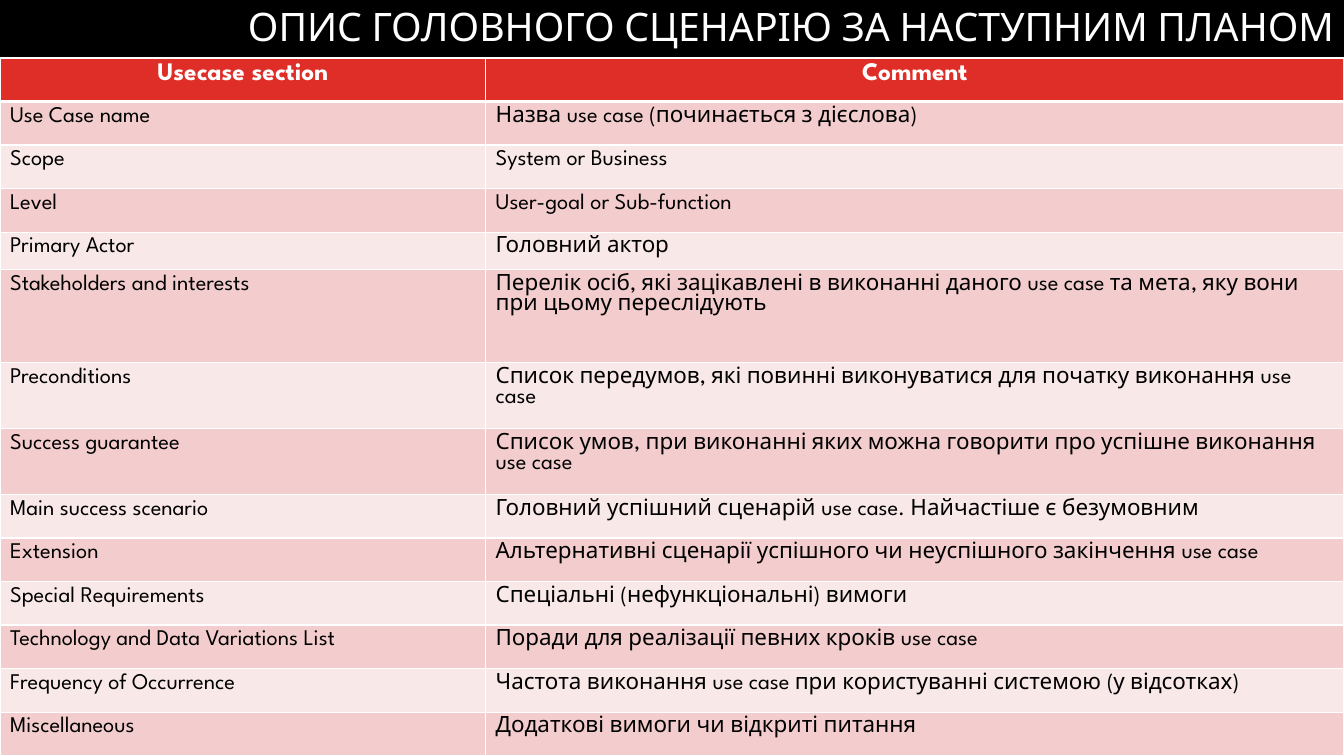
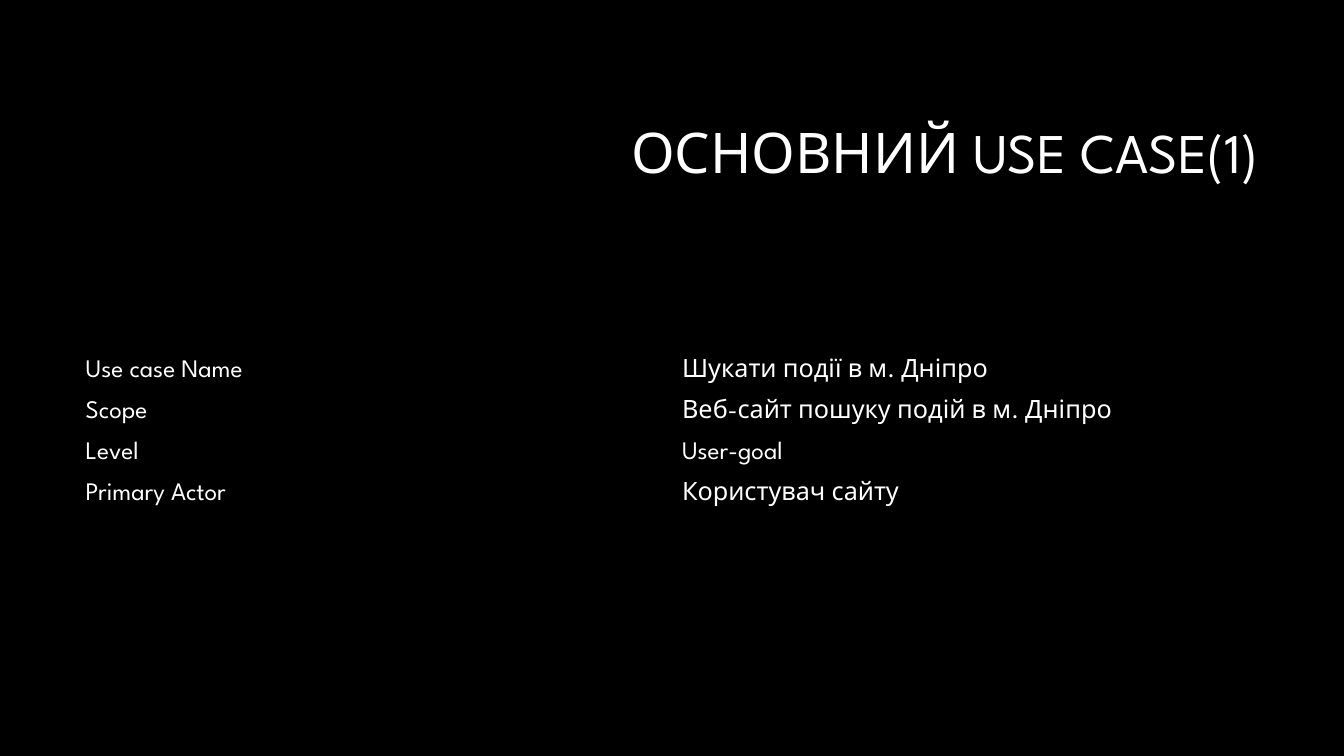
from dataclasses import dataclass

from lxml import etree
from pptx import Presentation
from pptx.dml.color import RGBColor
from pptx.enum.text import MSO_ANCHOR, PP_ALIGN
from pptx.oxml.ns import qn
from pptx.util import Inches, Pt

MIDDLE = MSO_ANCHOR.MIDDLE
CENTER, LEFT, RIGHT = PP_ALIGN.CENTER, PP_ALIGN.LEFT, PP_ALIGN.RIGHT
TITLE_ONLY = 5
PLAIN_TABLE = "{2D5ABB26-0587-4C30-8999-92F81FD0307C}"
GRID_COLS, GRID_ROWS = 160, 90


@dataclass(frozen=True)
class Theme:
    font: str = "League Spartan"
    background: str = "000000"
    light: str = "FFFFFF"
    dark: str = "000000"
    header: str = "DF2E28"
    bands: tuple = ("F3CDCD", "F9E8E8")
    title: int = 40
    band_title: int = 28
    body: int = 18
    small: int = 16
    rule: int = 1
    header_rule: int = 3


THEME = Theme()

TEMPLATE_ROWS = [
    ("Usecase section", "Comment"),
    ("Use Case name", "Назва use case (починається з дієслова)"),
    ("Scope", "System or Business"),
    ("Level", "User-goal or Sub-function"),
    ("Primary Actor", "Головний актор"),
    ("Stakeholders and interests",
     "Перелік осіб, які зацікавлені в виконанні даного use case та мета, "
     "яку вони при цьому переслідують"),
    ("Preconditions",
     "Список передумов, які повинні виконуватися для початку виконання use case"),
    ("Success guarantee",
     "Список умов, при виконанні яких можна говорити про успішне виконання use case"),
    ("Main success scenario",
     "Головний успішний сценарій use case. Найчастіше є безумовним"),
    ("Extension",
     "Альтернативні сценарії успішного чи неуспішного закінчення use case"),
    ("Special Requirements", "Спеціальні (нефункціональні) вимоги"),
    ("Technology and Data Variations List",
     "Поради для реалізації певних кроків use case"),
    ("Frequency of Occurrence",
     "Частота виконання use case при користуванні системою (у відсотках)"),
    ("Miscellaneous", "Додаткові вимоги чи відкриті питання"),
]
TEMPLATE_HEIGHTS = [0.43] * 4 + [0.37, 0.92] + [0.65] * 2 + [0.43] * 6

MAIN_CASE_ROWS = [
    ("Use case Name", "Шукати події в м. Дніпро"),
    ("Scope", "Веб-сайт пошуку подій в м. Дніпро"),
    ("Level", "User-goal"),
    ("Primary Actor", "Користувач сайту"),
]


def rgb(color):
    return RGBColor.from_string(color)


def place(prs, col, row, cols, rows):
    x, y = prs.slide_width / GRID_COLS, prs.slide_height / GRID_ROWS
    return [round(v) for v in (col * x, row * y, cols * x, rows * y)]


def write(tf, text, size, color, align=LEFT, bold=False):
    tf.text = text
    p = tf.paragraphs[0]
    p.alignment = align
    font = p.runs[0].font
    font.name, font.size, font.bold = THEME.font, Pt(size), bold
    font.color.rgb = rgb(color)
    return p


def add_titled_slide(prs, text, size, area):
    s = prs.slides.add_slide(prs.slide_layouts[TITLE_ONLY])
    sp = s.shapes.title
    sp.left, sp.top, sp.width, sp.height = place(prs, *area)
    tf = sp.text_frame
    tf.word_wrap = True
    tf.vertical_anchor = MIDDLE
    write(tf, text, size, THEME.light, RIGHT).line_spacing = 0.9
    return s


def share_out(items, attribute, weights, total):
    for item, weight in zip(items, weights):
        setattr(item, attribute, round(total * weight / sum(weights)))


def add_plain_table(prs, s, area, widths, heights):
    frame = place(prs, *area)
    table = s.shapes.add_table(len(heights), len(widths), *frame).table
    table._tbl.tblPr.find(qn("a:tableStyleId")).text = PLAIN_TABLE
    share_out(table.columns, "width", widths, frame[2])
    share_out(table.rows, "height", heights, frame[3])
    return table


def set_borders(cell, **points):
    tc_pr = cell._tc.get_or_add_tcPr()
    for side in "LRTB":
        line = etree.SubElement(tc_pr, qn(f"a:ln{side}"),
                                w=str(Pt(points.get(side, THEME.rule))))
        fill = etree.SubElement(line, qn("a:solidFill"))
        etree.SubElement(fill, qn("a:srgbClr"), val=THEME.light)


def fill_banded(table, rows):
    for i, texts in enumerate(rows):
        for cell, text in zip(table.rows[i].cells, texts):
            if i == 0:
                set_borders(cell, B=THEME.header_rule)
                write(cell.text_frame, text, THEME.body, THEME.light, CENTER, True)
                color = THEME.header
            else:
                set_borders(cell, T=THEME.header_rule if i == 1 else THEME.rule)
                write(cell.text_frame, text, THEME.small, THEME.dark)
                color = THEME.bands[(i - 1) % 2]
            cell.fill.solid()
            cell.fill.fore_color.rgb = rgb(color)


def fill_clear(table, rows):
    for row, texts in zip(table.rows, rows):
        for cell, text in zip(row.cells, texts):
            write(cell.text_frame, text, THEME.body, THEME.light)
            cell.fill.background()


def main():
    prs = Presentation()
    prs.slide_width, prs.slide_height = Inches(13.33), Inches(7.5)
    backdrop = prs.slide_master.background.fill
    backdrop.solid()
    backdrop.fore_color.rgb = rgb(THEME.background)

    s = add_titled_slide(prs, "ОПИС ГОЛОВНОГО СЦЕНАРІЮ ЗА НАСТУПНИМ ПЛАНОМ",
                         THEME.band_title, (0, 0, GRID_COLS, 6.84))
    table = add_plain_table(prs, s, (0, 6.9, GRID_COLS, 83.1),
                            (4.82, 8.52), TEMPLATE_HEIGHTS)
    fill_banded(table, TEMPLATE_ROWS)

    s = add_titled_slide(prs, "ОСНОВНИЙ USE CASE(1)", THEME.title,
                         (38, 10.1, 113, 16.9))
    table = add_plain_table(prs, s, (9, 42.25, 142, 19.45),
                            (1, 1), [1] * len(MAIN_CASE_ROWS))
    fill_clear(table, MAIN_CASE_ROWS)

    prs.save("out.pptx")


if __name__ == "__main__":
    main()
